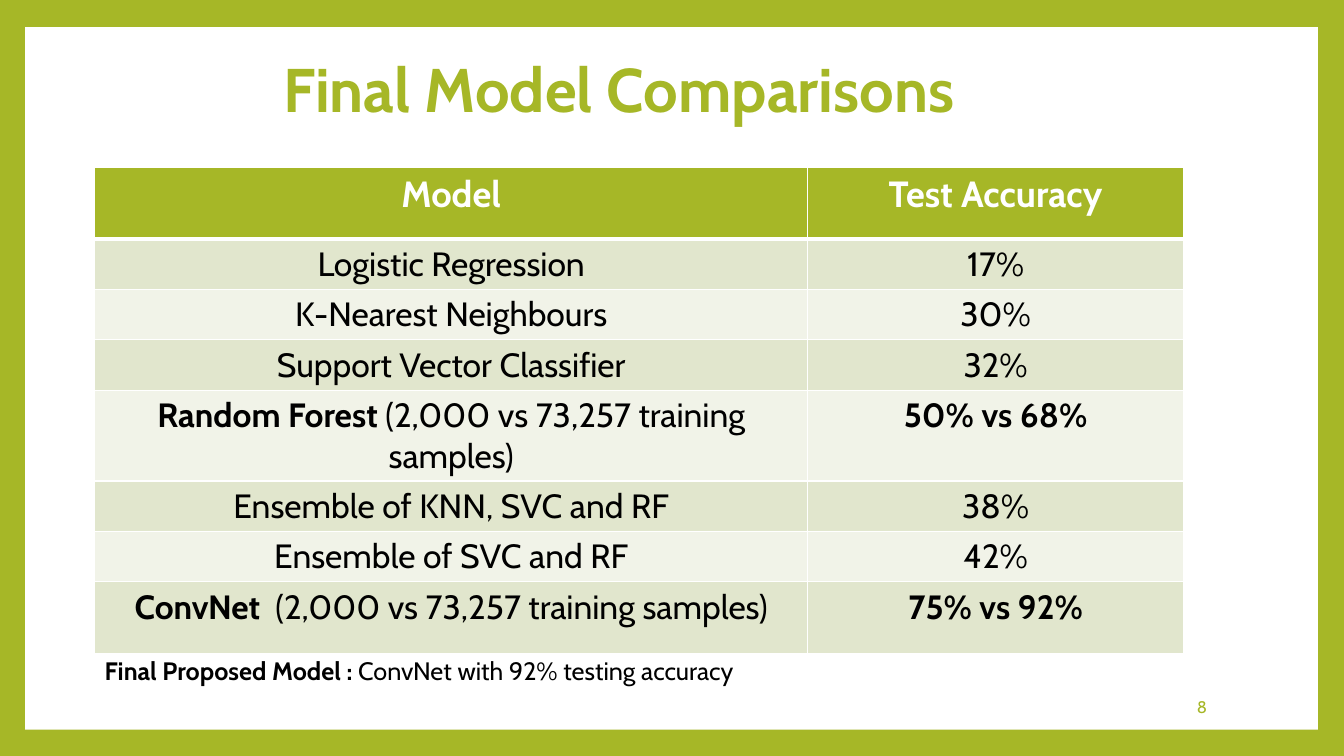
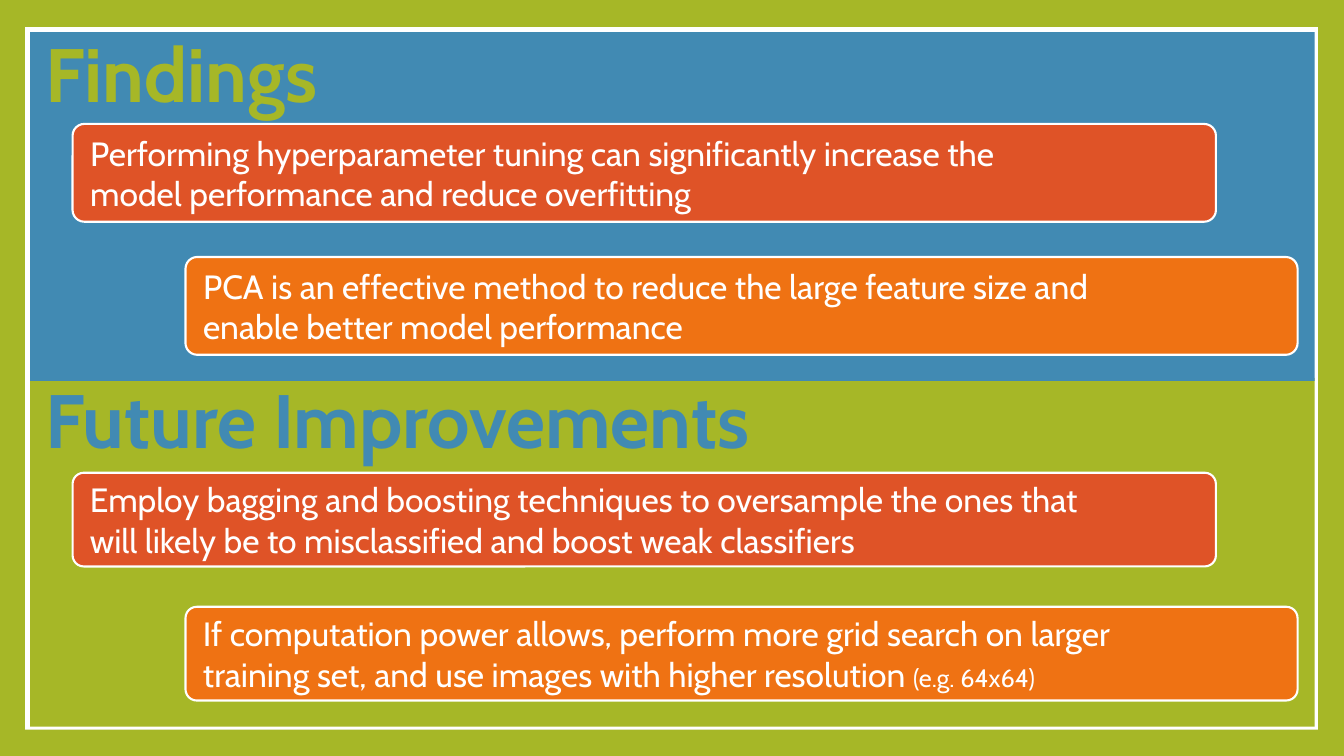
from dataclasses import dataclass
from typing import Any, NamedTuple

from lxml import etree
from pptx import Presentation
from pptx.dml.color import RGBColor
from pptx.enum import shapes, text
from pptx.oxml import ns
from pptx.util import Inches, Pt


@dataclass(frozen=True)
class Theme:
    font: str = "Cabin"
    green: str = "A6B727"
    blue: str = "418AB3"
    red: str = "DF5327"
    orange: str = "EF7213"
    white: str = "FFFFFF"
    black: str = "000000"
    row_tints: tuple[str, str] = ("E1E6CD", "F1F3E8")
    section_size: float = 54
    title_size: float = 44
    header_size: float = 26
    body_size: float = 24
    note_size: float = 18
    number_size: float = 12


THEME = Theme()
ALIGN = text.PP_ALIGN
ANCHOR = text.MSO_ANCHOR


class Box(NamedTuple):
    left: float
    top: float
    width: float
    height: float

    def lengths(self) -> list[int]:
        return [Inches(side) for side in self]


class Run(NamedTuple):
    words: str
    size: float = THEME.body_size
    color: str = THEME.black
    bold: bool = False


class ModelResult(NamedTuple):
    model: str
    accuracy: str
    training: str = ""


class CardStyle(NamedTuple):
    left: float
    width: float
    right_inset: float
    color: str


class Section(NamedTuple):
    heading: str
    top: float
    fill: str
    heading_color: str
    card_offset: float
    card_height: float
    card_gap: float
    cards: list[list[Run]]


PANEL = Box(0.25, 0.27, 12.82, 6.97)
TABLE = Box(0.94, 1.66, 10.8, 4.42)
COLUMN_WIDTHS = (7.07, 3.73)
END_ROW, MIDDLE_ROW = 0.71, 0.4
SECTION_LEFT, SECTION_WIDTH, SECTION_HEIGHT = 0.3, 12.74, 3.46
CARD_STYLES = (
    CardStyle(0.72, 11.34, 1.32, THEME.red),
    CardStyle(1.84, 11.03, 1.78, THEME.orange),
)
TRAINING = "(2,000 vs 73,257 training samples)"
RESULTS = [
    ModelResult("Logistic Regression", "17%"),
    ModelResult("K-Nearest Neighbours", "30%"),
    ModelResult("Support Vector Classifier", "32%"),
    ModelResult("Random Forest ", "50% vs 68%", TRAINING),
    ModelResult("Ensemble of KNN, SVC and RF", "38%"),
    ModelResult("Ensemble of SVC and RF", "42%"),
    ModelResult("ConvNet ", "75% vs 92%", " " + TRAINING),
]


def card_run(words: str, size: float = THEME.body_size) -> Run:
    return Run(words, size, THEME.white)


# The findings overlap the top edge of the improvements, so they come last.
SECTIONS = [
    Section("Future Improvements", 3.75, THEME.green, THEME.blue, 0.94, 0.93, 0.4, [
        [card_run("Employ bagging and boosting techniques to oversample the ones "
                  "that will likely be to misclassified and boost weak classifiers")],
        [card_run("If computation power allows, perform more grid search on larger "
                  "training set, and use images with higher resolution "),
         card_run("(e.g. 64x64)", THEME.note_size)],
    ]),
    Section("Findings", 0.32, THEME.blue, THEME.green, 0.91, 0.97, 0.35, [
        [card_run("Performing hyperparameter tuning can significantly increase the "
                  "model performance and reduce overfitting")],
        [card_run("PCA is an effective method to reduce the large feature size and "
                  "enable better model performance")],
    ]),
]


def set_all(target: Any, values: dict[str, Any]) -> None:
    for name, value in values.items():
        setattr(target, name, value)


def paint(fill: Any, color: str) -> None:
    fill.solid()
    fill.fore_color.rgb = RGBColor.from_string(color)


def write(frame: Any, runs: list[Run], **paragraph_format: Any) -> None:
    paragraph = frame.paragraphs[0]
    set_all(paragraph, {"alignment": ALIGN.LEFT} | paragraph_format)
    for part in runs:
        run = paragraph.add_run()
        run.text = part.words
        set_all(run.font, {"name": THEME.font, "size": Pt(part.size), "bold": part.bold})
        run.font.color.rgb = RGBColor.from_string(part.color)


def add_text(slide: Any, box: Box, runs: list[Run], anchor: Any = ANCHOR.TOP,
             **paragraph_format: Any) -> None:
    frame = slide.shapes.add_textbox(*box.lengths()).text_frame
    set_all(frame, {"word_wrap": True, "vertical_anchor": anchor})
    write(frame, runs, **paragraph_format)


def add_block(slide: Any, box: Box, color: str,
              kind: Any = shapes.MSO_SHAPE.RECTANGLE) -> Any:
    block = slide.shapes.add_shape(kind, *box.lengths())
    block.shadow.inherit = False
    paint(block.fill, color)
    block.line.fill.background()
    return block


def add_framed_slide(deck: Any) -> Any:
    slide = deck.slides.add_slide(deck.slide_layouts[6])
    paint(slide.background.fill, THEME.green)
    add_block(slide, PANEL, THEME.white)
    return slide


def set_borders(cell: Any, top: float, bottom: float) -> None:
    properties = cell._tc.get_or_add_tcPr()
    for side, width in {"L": 1, "R": 1, "T": top, "B": bottom}.items():
        line = etree.SubElement(properties, ns.qn(f"a:ln{side}"), w=str(Pt(width)))
        solid = etree.SubElement(line, ns.qn("a:solidFill"))
        etree.SubElement(solid, ns.qn("a:srgbClr"), val=THEME.white)


def add_results_table(slide: Any) -> None:
    header = [[Run(name, THEME.header_size, THEME.white, True)]
              for name in ("Model", "Test Accuracy")]
    rows = [header]
    for result in RESULTS:
        key = bool(result.training)
        model = [Run(result.model, bold=key)]
        if key:
            model.append(Run(result.training))
        rows.append([model, [Run(result.accuracy, bold=key)]])

    table = slide.shapes.add_table(len(rows), len(header), *TABLE.lengths()).table
    for column, width in zip(table.columns, COLUMN_WIDTHS):
        column.width = Inches(width)
    for index, cells in enumerate(rows):
        is_end = index in (0, len(rows) - 1)
        table.rows[index].height = Inches(END_ROW if is_end else MIDDLE_ROW)
        color = THEME.row_tints[(index - 1) % 2] if index else THEME.green
        for column, runs in enumerate(cells):
            cell = table.cell(index, column)
            set_borders(cell, top=3 if index == 1 else 1, bottom=1 if index else 3)
            paint(cell.fill, color)
            write(cell.text_frame, runs, alignment=ALIGN.CENTER)


def add_card(slide: Any, style: CardStyle, top: float, height: float,
             runs: list[Run]) -> None:
    card = add_block(slide, Box(style.left, top, style.width, height), style.color,
                     shapes.MSO_SHAPE.ROUNDED_RECTANGLE)
    card.adjustments[0] = 0.12
    paint(card.line.fill, THEME.white)
    card.line.width = Pt(1.5)
    inset = Inches(0.14)
    set_all(card.text_frame, {
        "word_wrap": True, "vertical_anchor": ANCHOR.MIDDLE,
        "margin_left": inset, "margin_top": inset, "margin_bottom": inset,
        "margin_right": Inches(style.right_inset),
    })
    write(card.text_frame, runs)


def add_section(slide: Any, section: Section) -> None:
    box = Box(SECTION_LEFT, section.top, SECTION_WIDTH, SECTION_HEIGHT)
    band = add_block(slide, box, section.fill)
    set_all(band.text_frame, {"word_wrap": True, "vertical_anchor": ANCHOR.TOP,
                              "margin_left": Inches(0.15)})
    heading = Run(section.heading, THEME.section_size, section.heading_color, True)
    write(band.text_frame, [heading], line_spacing=0.9, space_before=Pt(14))
    step = section.card_height + section.card_gap
    for index, (style, runs) in enumerate(zip(CARD_STYLES, section.cards)):
        top = section.top + section.card_offset + index * step
        add_card(slide, style, top, section.card_height, runs)


def build_comparison(deck: Any) -> None:
    slide = add_framed_slide(deck)
    add_text(slide, Box(0.74, 0.18, 10.8, 1.48),
             [Run("Final Model Comparisons", THEME.title_size, THEME.green, True)],
             ANCHOR.MIDDLE, alignment=ALIGN.CENTER, line_spacing=0.9)
    add_results_table(slide)
    add_text(slide, Box(10.2, 6.81, 1.87, 0.4),
             [Run("8", THEME.number_size, THEME.green)],
             ANCHOR.MIDDLE, alignment=ALIGN.RIGHT)
    add_text(slide, Box(0.94, 6.45, 10.8, 0.4),
             [Run("Final Proposed Model : ", THEME.note_size, bold=True),
              Run("ConvNet with 92% testing accuracy", THEME.note_size)])


def build_conclusions(deck: Any) -> None:
    slide = add_framed_slide(deck)
    for section in SECTIONS:
        add_section(slide, section)


def main() -> None:
    deck = Presentation()
    set_all(deck, {"slide_width": Inches(13.33), "slide_height": Inches(7.5)})
    build_comparison(deck)
    build_conclusions(deck)
    deck.save("out.pptx")


if __name__ == "__main__":
    main()
